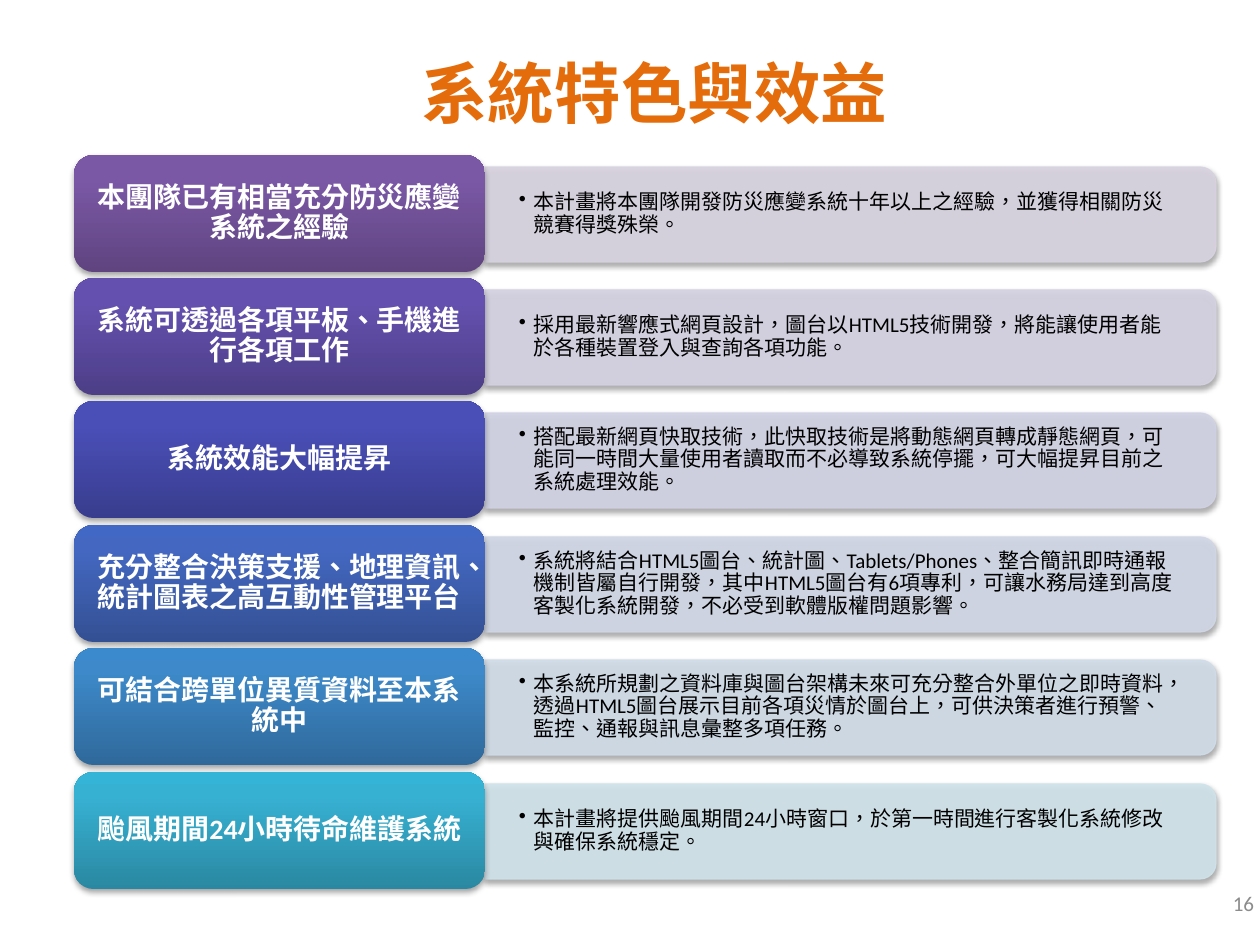
"""Builds the slide on system features and benefits."""
from copy import deepcopy

from lxml import etree
from pptx import Presentation
from pptx.dml.color import RGBColor
from pptx.enum.shapes import MSO_SHAPE
from pptx.enum.text import MSO_ANCHOR, PP_ALIGN
from pptx.oxml.ns import qn
from pptx.util import Pt

PX = 914400 / 126
ROUND = MSO_SHAPE.ROUNDED_RECTANGLE
ROUND_TOP = MSO_SHAPE.ROUND_2_SAME_RECTANGLE
MIDDLE = MSO_ANCHOR.MIDDLE
CENTER, LEFT = PP_ALIGN.CENTER, PP_ALIGN.LEFT

LATIN, CJK = "Calibri", "Noto Sans CJK SC"
ORANGE = RGBColor(0xE4, 0x6C, 0x0A)
GRAY = RGBColor(0x8C, 0x8C, 0x8C)
BLACK = RGBColor(0, 0, 0)
WHITE = RGBColor(255, 255, 255)
STOPS = (0, 0.8, 1)
PURPLE = [RGBColor.from_string(c) for c in ("5F4480", "7B58A6", "7C57A8")]
VIOLET = [RGBColor.from_string(c) for c in ("4D3E87", "6451AF", "6450B2")]
INDIGO = [RGBColor.from_string(c) for c in ("393D8E", "4A4FB8", "484EBB")]
BLUE = [RGBColor.from_string(c) for c in ("345094", "4468C1", "4168C4")]
AZURE = [RGBColor.from_string(c) for c in ("2F699B", "3D89C9", "3B8ACD")]
CYAN = [RGBColor.from_string(c) for c in ("2A88A2", "37B1D2", "34B4D6")]
PALE_PURPLE = RGBColor(0xD8, 0xD3, 0xE0)
PALE_VIOLET = RGBColor(0xD5, 0xD2, 0xE2)
PALE_INDIGO = RGBColor(0xD1, 0xD2, 0xE4)
PALE_BLUE = RGBColor(0xD1, 0xD7, 0xE6)
PALE_AZURE = RGBColor(0xD0, 0xDC, 0xE8)
PALE_CYAN = RGBColor(0xD0, 0xE3, 0xEA)

FEATURES = [
    (PURPLE, PALE_PURPLE, "本團隊已有相當充分防災應變系統之經驗",
     "本計畫將本團隊開發防災應變系統十年以上之經驗，並獲得相關防災競賽得獎殊榮。"),
    (VIOLET, PALE_VIOLET, "系統可透過各項平板、手機進行各項工作",
     "採用最新響應式網頁設計，圖台以HTML5技術開發，將能讓使用者能於各種裝置登入與查詢各項功能。"),
    (INDIGO, PALE_INDIGO, "系統效能大幅提昇",
     "搭配最新網頁快取技術，此快取技術是將動態網頁轉成靜態網頁，"
     "可能同一時間大量使用者讀取而不必導致系統停擺，可大幅提昇目前之系統處理效能。"),
    (BLUE, PALE_BLUE, "充分整合決策支援、地理資訊、統計圖表之高互動性管理平台",
     "系統將結合HTML5圖台、統計圖、Tablets/Phones、整合簡訊即時通報機制皆屬自行開發，"
     "其中HTML5圖台有6項專利，可讓水務局達到高度客製化系統開發，不必受到軟體版權問題影響。"),
    (AZURE, PALE_AZURE, "可結合跨單位異質資料至本系統中",
     "本系統所規劃之資料庫與圖台架構未來可充分整合外單位之即時資料，"
     "透過HTML5圖台展示目前各項災情於圖台上，可供決策者進行預警、監控、通報與訊息彙整多項任務。"),
    (CYAN, PALE_CYAN, "颱風期間24小時待命維護系統",
     "本計畫將提供颱風期間24小時窗口，於第一時間進行客製化系統修改與確保系統穩定。"),
]
TOP, SPAN = 155, 617


def px(n):
    """Turn pixels into EMU."""
    return round(n * PX)


def write(sp, text, size=12, color=BLACK, bold=False, font=LATIN, align=CENTER,
          spacing=None, inset=(13, 6), bullet=0):
    """Fill a shape with one formatted paragraph."""
    tf = sp.text_frame
    tf.word_wrap = True
    tf.vertical_anchor = MIDDLE
    tf.margin_left = tf.margin_right = px(inset[0])
    tf.margin_top = tf.margin_bottom = px(inset[1])
    p = tf.paragraphs[0]
    p.alignment = align
    if spacing:
        p.line_spacing = spacing
    if bullet:
        pPr = p._p.get_or_add_pPr()
        pPr.set("marL", str(px(bullet)))
        pPr.set("indent", str(-px(bullet)))
        etree.SubElement(pPr, qn("a:buChar"), char="•")
    r = p.add_run()
    r.text = text
    r.font.size, r.font.bold, r.font.name = Pt(size), bold, font
    r.font.color.rgb = color
    rPr = r._r.get_or_add_rPr()
    rPr.set("lang", "zh-TW")
    etree.SubElement(rPr, qn("a:ea"), typeface=CJK)


class SlideBuilder:
    """Holds the current slide and its shared style."""

    def __init__(self, slide):
        """Keep the slide to draw on."""
        self.slide = slide

    def title(self, text, x, y, w, h):
        """Place and format the title."""
        sp = self.slide.shapes.title
        sp.left, sp.top, sp.width, sp.height = map(px, (x, y, w, h))
        write(sp, text, size=38, color=ORANGE, bold=True, font=CJK)

    def text(self, text, x, y, w, h, **fmt):
        """Add a text box."""
        write(self.slide.shapes.add_textbox(*map(px, (x, y, w, h))), text, **fmt)

    def shadowed(self, kind, x, y, w, h):
        """Add a shape with a soft shadow below it."""
        sp = self.slide.shapes.add_shape(kind, *map(px, (x, y, w, h)))
        sp.shadow.inherit = False
        effects = sp._element.spPr.find(qn("a:effectLst"))
        shadow = etree.SubElement(effects, qn("a:outerShdw"), blurRad="40000",
                                  dist="23000", dir="5400000", rotWithShape="0")
        black = etree.SubElement(shadow, qn("a:srgbClr"), val="000000")
        etree.SubElement(black, qn("a:alpha"), val="35000")
        return sp

    def bar(self, color, x, y, w, h):
        """Add a pale bar rounded on its right side."""
        sp = self.shadowed(ROUND_TOP, x + (w - h) / 2, y + (h - w) / 2, h, w)
        sp.rotation = 90
        sp.fill.solid()
        sp.fill.fore_color.rgb = color
        sp.line.color.rgb = color
        sp.line.width = Pt(0.75)
        for paint in (sp._element.spPr.find(qn("a:solidFill")),
                      sp._element.spPr.find(qn("a:ln"))):
            etree.SubElement(next(paint.iter(qn("a:srgbClr"))), qn("a:alpha"), val="90000")

    def label(self, text, colors, x, y, w, h):
        """Add a rounded gradient label."""
        sp = self.shadowed(ROUND, x, y, w, h)
        sp.line.fill.background()
        sp.fill.gradient()
        sp.fill.gradient_angle = 90
        stops = next(sp._element.spPr.iter(qn("a:gsLst")))
        stops.append(deepcopy(stops[-1]))
        for stop, position, color in zip(sp.fill.gradient_stops, STOPS, colors):
            stop.position = position
            stop.color.rgb = color
        write(sp, text, size=16, color=WHITE, bold=True, spacing=0.9, inset=(9, 4))


def main():
    """Build and save the slide."""
    prs = Presentation()
    prs.slide_width, prs.slide_height = px(1260), px(945)
    s = SlideBuilder(prs.slides.add_slide(prs.slide_layouts[5]))
    s.title("系統特色與效益", 64, 37, 1181, 110)
    s.text("16", 1216, 878, 55, 50, color=GRAY)
    for i, (colors, pale, heading, detail) in enumerate(FEATURES):
        y = TOP + i * SPAN // (len(FEATURES) - 1)
        s.bar(pale, 485, y + 12, 731, 95)
        s.text(detail, 485, y + 17, 726, 84, align=LEFT, spacing=0.9,
               inset=(34, 18), bullet=15)
        s.label(heading, colors, 74, y, 411, 117)
    prs.save("out.pptx")


if __name__ == "__main__":
    main()
